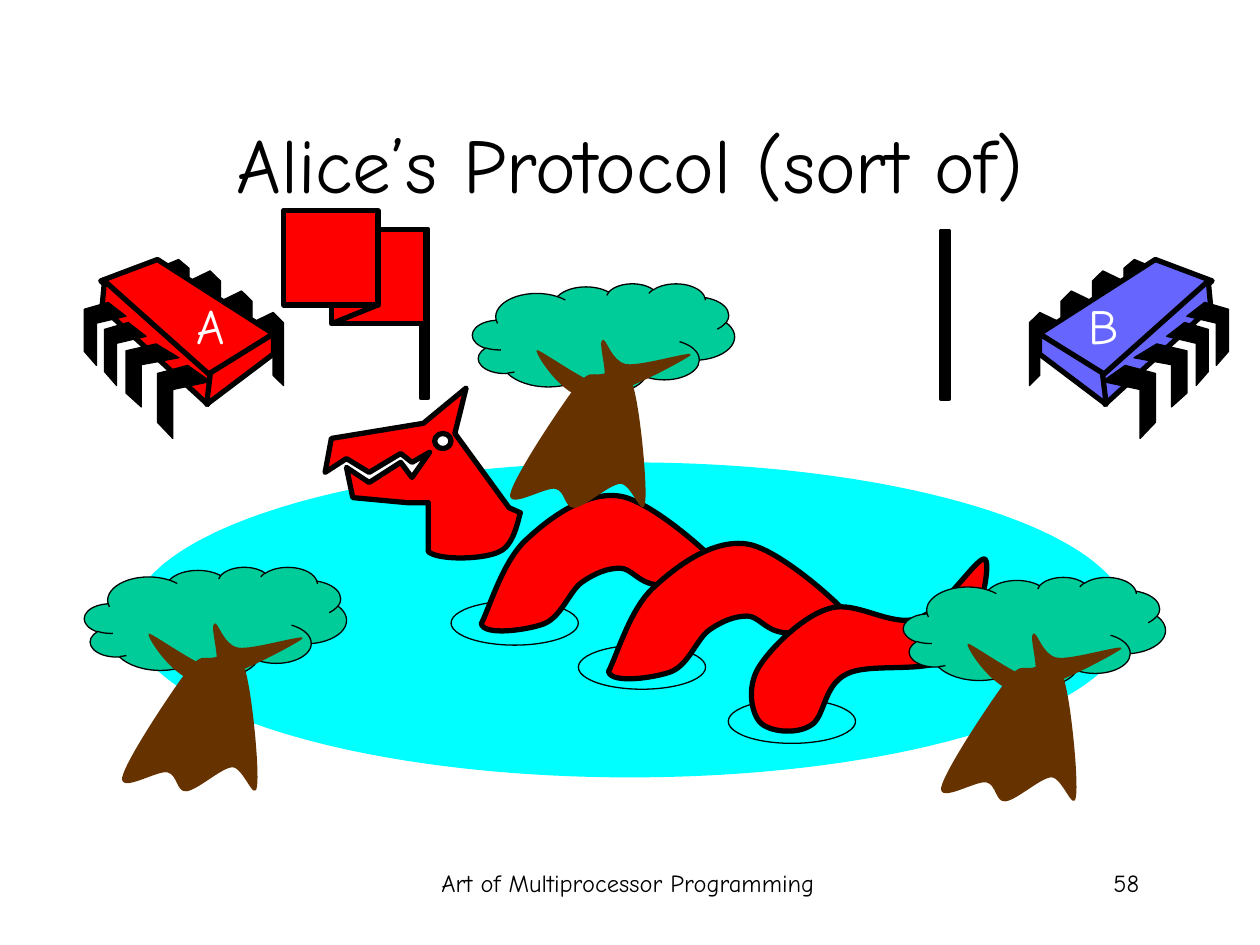
from dataclasses import dataclass
from typing import Callable, Optional

from lxml.etree import SubElement
from pptx import Presentation
from pptx.dml.color import RGBColor
from pptx.enum.shapes import MSO_CONNECTOR, MSO_SHAPE as Preset
from pptx.enum.text import MSO_ANCHOR, PP_ALIGN as Align
from pptx.oxml.ns import qn
from pptx.util import Inches, Pt

# The slide is a grid of 10 columns by 7.5 rows; all lengths count its cells
COLS, ROWS = 10, 7.5
CELL = Inches(1)
FONT = "Comic Neue"

BLACK = RGBColor(0x00, 0x00, 0x00)
WHITE = RGBColor(0xFF, 0xFF, 0xFF)
RED = RGBColor(0xFF, 0x00, 0x00)
BLUE = RGBColor(0x66, 0x66, 0xFF)
WATER = RGBColor(0x00, 0xFF, 0xFF)
LEAF = RGBColor(0x00, 0xCC, 0x99)
BARK = RGBColor(0x66, 0x33, 0x00)

Point = tuple[float, float]
Box = tuple[float, float, float, float]
Segment = tuple[float, ...]  # two numbers: line to; six numbers: curve to


@dataclass(frozen=True)
class Style:
    fill: Optional[RGBColor]
    width: float = 0  # outline in points; 0 means none


@dataclass(frozen=True)
class Label:
    text: str
    box: Box
    size: int
    align: Align
    color: RGBColor = BLACK
    wrap: bool = True


LEG = Style(BLACK, 0.75)
SKIN = Style(RED, 3)
POLE = Style(BLACK, 2.25)
RIPPLE = Style(None, 0.75)
CROWN = Style(LEAF, 0.75)
WOOD = Style(BARK)

# Chip: legs are shares of their boxes, faces are in cells
BACK_LEG = [(0, .14), (.67, 0), (1, .14), (1, 1), (.67, .86), (.67, .29), (0, .43)]
FRONT_LEG = [(.57, 0), (1, .22), (.29, .33), (.29, 1), (0, .78), (0, .11)]
BACK_BOXES = [(2, 2.48, .25, .58), (1.75, 2.31, .25, .58),
              (1.5, 2.15, .25, .58), (1.25, 2.06, .25, .5)]
FRONT_BOXES = [(1.25, 2.9, .42, .58), (1, 2.73, .42, .5),
               (.83, 2.56, .33, .5), (.67, 2.4, .33, .5)]
FACES = [
    [(1.25, 2.06), (2.17, 2.65), (1.65, 2.99), (.8, 2.23)],
    [(.83, 2.23), (1.67, 2.98), (1.65, 3.21), (.81, 2.44)],
    [(2.17, 2.65), (2.17, 2.81), (1.64, 3.21), (1.67, 2.96)],
]
MIRROR_SUM = 10.42  # x of a left chip point plus x of its right twin

# Serpent
HUMP = [(3.82, 4.95), (3.84, 5.05, 4.19, 5, 4.32, 4.95),
        (4.46, 4.89, 4.52, 4.69, 4.62, 4.62), (4.72, 4.55, 4.82, 4.51, 4.92, 4.51),
        (5.01, 4.51, 5.06, 4.62, 5.2, 4.64), (5.35, 4.65, 5.84, 4.72, 5.8, 4.6),
        (5.75, 4.49, 5.2, 3.99, 4.93, 3.94), (4.65, 3.89, 4.35, 4.12, 4.17, 4.29),
        (3.99, 4.46, 3.89, 4.81, 3.82, 4.95)]
HEAD = [(4.04, 4.03), (3.61, 3.44), (3.7, 3.08), (3.36, 3.36), (2.63, 3.48),
        (2.58, 3.75), (2.75, 3.64), (2.93, 3.75), (3.18, 3.6), (3.27, 3.67),
        (3.41, 3.59), (3.27, 3.79), (3.18, 3.67), (2.93, 3.83), (2.75, 3.71),
        (2.8, 3.95), (3.23, 3.99), (3.4, 3.99), (3.4, 4.38),
        (3.49, 4.45, 3.84, 4.44, 3.96, 4.38), (4.08, 4.33, 4.11, 4.13, 4.13, 4.07)]
TAIL = [(7.82, 4.44), (7.77, 4.39, 7.49, 4.85, 7.28, 4.91),
        (7.07, 4.98, 6.79, 4.76, 6.58, 4.83), (6.37, 4.89, 6.11, 5.15, 6.02, 5.3),
        (5.93, 5.45, 5.96, 5.65, 6.03, 5.73), (6.1, 5.81, 6.32, 5.83, 6.43, 5.76),
        (6.55, 5.7, 6.53, 5.44, 6.72, 5.35), (6.91, 5.25, 7.39, 5.36, 7.57, 5.2),
        (7.76, 5.05, 7.87, 4.49, 7.82, 4.44)]

# Tree, measured from the top left of its crown
TRUNK = [(.81, .83), (.93, .68, .94, .73, 1.02, .72), (1.09, .71, 1.21, .63, 1.27, .8),
         (1.33, .97, 1.39, 1.61, 1.37, 1.74), (1.35, 1.88, 1.26, 1.58, 1.17, 1.59),
         (1.08, 1.6, .9, 1.77, .81, 1.78), (.73, 1.79, .74, 1.65, .66, 1.63),
         (.58, 1.61, .28, 1.8, .3, 1.67), (.33, 1.53, .69, .99, .81, .83)]
BRANCHES = [(.51, .53), (.49, .55, .71, .9, .91, .91), (1.12, .92, 1.68, .61, 1.73, .57),
            (1.78, .52, 1.34, .66, 1.22, .64), (1.1, .62, 1.06, .42, 1.03, .45),
            (.99, .47, 1.1, .78, 1.02, .8), (.93, .81, .52, .51, .51, .53)]


def cells(*counts: float) -> list[int]:
    return [round(n * CELL) for n in counts]


def paint(s, style: Style) -> None:
    s.shadow.inherit = False
    if style.fill is None:
        s.fill.background()
    else:
        s.fill.solid()
        s.fill.fore_color.rgb = style.fill
    if style.width:
        s.line.color.rgb = BLACK
        s.line.width = Pt(style.width)
    else:
        s.line.fill.background()


def preset(shapes, kind: Preset, box: Box, style: Style):
    s = shapes.add_shape(kind, *cells(*box))
    paint(s, style)
    return s


def outline(shapes, segments: list[Segment], style: Style,
            place: Callable[[float, float], Point] = lambda x, y: (x, y)) -> None:
    points = [cells(*place(*seg[i:i + 2])) for seg in segments for i in range(0, len(seg), 2)]
    builder = shapes.build_freeform(*points[0])
    builder.add_line_segments(points[1:], close=True)
    s = builder.convert_to_shape()
    paint(s, style)
    # Join the three lines of each curved segment into one cubic curve
    lines = iter(list(s._element.iter(qn("a:lnTo"))))
    for seg in segments[1:]:
        group = [next(lines) for _ in range(len(seg) // 2)]
        if len(group) == 3:
            curve = group[0].makeelement(qn("a:cubicBezTo"))
            group[0].addprevious(curve)
            for line in group:
                curve.append(line[0])
                line.getparent().remove(line)


def shift(dx: float, dy: float) -> Callable[[float, float], Point]:
    return lambda x, y: (x + dx, y + dy)


def draw_chip(shapes, color: RGBColor, mirrored: bool = False) -> None:
    group = shapes.add_group_shape().shapes

    def flip(x: float, y: float) -> Point:
        return (MIRROR_SUM - x if mirrored else x), y

    def draw_legs(leg: list[Point], boxes: list[Box]) -> None:
        for left, top, w, h in boxes:
            outline(group, [(left + x * w, top + y * h) for x, y in leg], LEG, flip)

    draw_legs(BACK_LEG, BACK_BOXES)
    for face in FACES:
        outline(group, face, Style(color, 3), flip)
    draw_legs(FRONT_LEG, FRONT_BOXES)


def draw_serpent(shapes) -> None:
    group = shapes.add_group_shape().shapes
    for x, y in [(4.59, 5.12), (5.78, 5.55), (3.58, 4.77)]:
        preset(group, Preset.OVAL, (x, y, 1.01, .35), RIPPLE)
    for step in (0, 1):
        outline(group, HUMP, SKIN, shift(1.01 * step, .38 * step))
    outline(group, HEAD, SKIN)
    preset(group, Preset.OVAL, (3.45, 3.44, .13, .12), Style(WHITE, 3))
    outline(group, TAIL, SKIN)


def draw_tree(shapes, left: float, top: float) -> None:
    group = shapes.add_group_shape().shapes
    crown = preset(group, Preset.CLOUD_CALLOUT, (left, top, 2.08, .87), CROWN)
    crown.adjustments[0], crown.adjustments[1] = .018, .493
    for part in (TRUNK, BRANCHES):
        outline(group, part, WOOD, shift(left, top))


def draw_flag(shapes) -> None:
    group = shapes.add_group_shape().shapes
    preset(group, Preset.RECTANGLE, (3.34, 1.82, .06, 1.34), POLE)
    preset(group, Preset.RECTANGLE, (2.63, 1.82, .75, .75), SKIN)
    fold = group.add_connector(MSO_CONNECTOR.STRAIGHT, *cells(2.63, 2.57, 3, 2.42))
    fold.line.color.rgb = BLACK
    fold.line.width = Pt(3)
    SubElement(fold._element.spPr, qn("a:effectLst"))
    preset(group, Preset.RECTANGLE, (2.25, 1.67, .75, .75), SKIN)


def write(s, label: Label) -> None:
    s.left, s.top, s.width, s.height = cells(*label.box)
    tf = s.text_frame
    tf.text = label.text
    tf.word_wrap = label.wrap
    p = tf.paragraphs[0]
    p.alignment = label.align
    font = p.runs[0].font
    font.name, font.size, font.color.rgb = FONT, Pt(label.size), label.color


def add_label(shapes, label: Label) -> None:
    write(shapes.add_textbox(*cells(*label.box)), label)


def main() -> None:
    prs = Presentation()
    prs.slide_width, prs.slide_height = cells(COLS, ROWS)
    shapes = prs.slides.add_slide(prs.slide_layouts[5]).shapes

    # Title and footer
    write(shapes.title, Label("Alice’s Protocol (sort of)", (.75, .67, 8.5, 1.25), 44, Align.CENTER))
    shapes.title.text_frame.vertical_anchor = MSO_ANCHOR.MIDDLE
    add_label(shapes, Label("Art of Multiprocessor Programming", (3.4, 6.84, 3.17, .5), 14, Align.CENTER))
    add_label(shapes, Label("58", (7.06, 6.84, 2.08, .5), 14, Align.RIGHT))

    # Chips, pond and chip names
    draw_chip(shapes, RED)
    draw_chip(shapes, BLUE, mirrored=True)
    preset(shapes, Preset.OVAL, (1.04, 3.67, 7.92, 2.5), Style(WATER))
    add_label(shapes, Label("A", (1.46, 2.3, .42, .57), 28, Align.RIGHT, WHITE, False))
    add_label(shapes, Label("B", (8.54, 2.3, .44, .57), 28, Align.RIGHT, WHITE, False))

    # Serpent, trees, raised flag and bare pole
    draw_serpent(shapes)
    for left, top in [(3.75, 2.25), (7.17, 4.58), (.67, 4.5)]:
        draw_tree(shapes, left, top)
    draw_flag(shapes)
    preset(shapes, Preset.RECTANGLE, (7.47, 1.83, .06, 1.34), POLE)

    prs.save("out.pptx")


if __name__ == "__main__":
    main()
